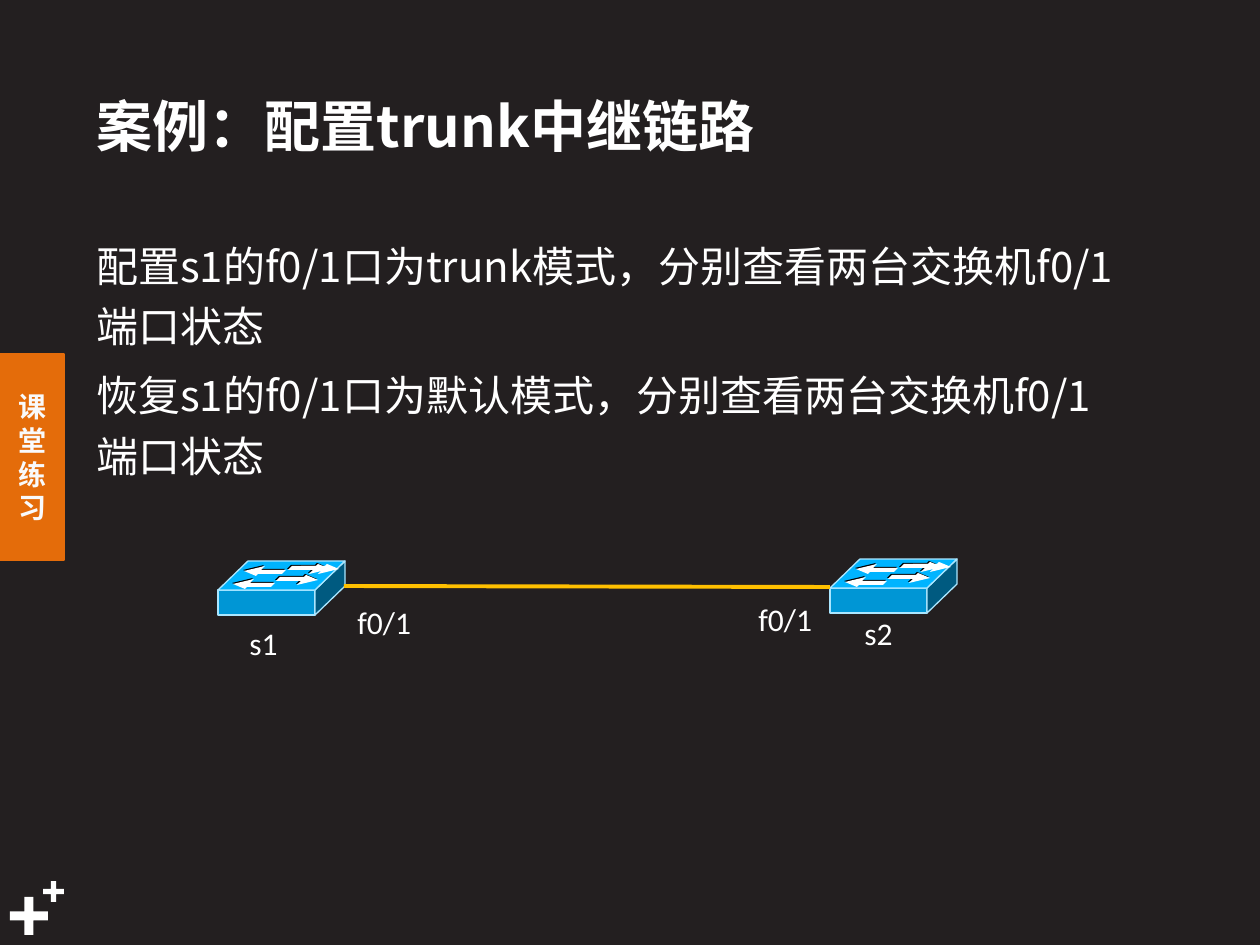
import pptx
import pptx.dml.color
import pptx.enum.shapes
import pptx.enum.text
import pptx.oxml
import pptx.oxml.ns
import pptx.util

EMU_PER_PX = 914400 / 126
CJK_FONT = "Noto Sans CJK SC"
LATIN_FONT = "Calibri"
WHITE = "FFFFFF"
ORANGE = "E46C0A"
EDGE = "AAE6FF"
ARROW_WIDTH, ARROW_HEIGHT = 42, 10
RIGHT_ARROW = [(4, 2), (0, 6), (25, 6), (21, 10), (42, 5), (30, 0), (28, 2)]
LEFT_ARROW = [(ARROW_WIDTH - x, ARROW_HEIGHT - y) for x, y in RIGHT_ARROW]
SHADED_ARROWS = [(RIGHT_ARROW, 58, 14), (RIGHT_ARROW, 70, 3),
                 (LEFT_ARROW, 15, 18), (LEFT_ARROW, 26, 5)]
EXTRA_ARROW = (RIGHT_ARROW, 79, 3)

Shape = pptx.enum.shapes.MSO_SHAPE
Anchor = pptx.enum.text.MSO_ANCHOR
AutoSize = pptx.enum.text.MSO_AUTO_SIZE


def px(value):
    return pptx.util.Emu(round(value * EMU_PER_PX))


def color(hex_string):
    return pptx.dml.color.RGBColor.from_string(hex_string)


def paint(shape, fill, line=None, line_width=0):
    shape.shadow.inherit = False
    shape.fill.solid()
    shape.fill.fore_color.rgb = color(fill)
    if line:
        shape.line.color.rgb = color(line)
        shape.line.width = pptx.util.Pt(line_width)
    else:
        shape.line.fill.background()


def add_preset(slide, preset, box, fill, line=None, line_width=0):
    shape = slide.shapes.add_shape(preset, *map(px, box))
    paint(shape, fill, line, line_width)
    return shape


def add_polygon(slide, left, top, points, fill, line=None):
    builder = slide.shapes.build_freeform(*points[0], scale=EMU_PER_PX)
    builder.add_line_segments(points[1:], close=True)
    paint(builder.convert_to_shape(px(left), px(top)), fill, line)


def add_run(paragraph, text, size, font, bold=False, fill=WHITE):
    run = paragraph.add_run()
    run.text = text
    run.font.size = pptx.util.Pt(size)
    run.font.bold = bold
    run.font.name = font
    run.font.color.rgb = color(fill)
    latin = run.font._element.find(pptx.oxml.ns.qn("a:latin"))
    east_asian = pptx.oxml.parse_xml(
        f'<a:ea {pptx.oxml.ns.nsdecls("a")} typeface="{font}"/>')
    latin.addnext(east_asian)


def add_paragraphs(frame, texts, size, font, bold=False, fill=WHITE):
    for index, text in enumerate(texts):
        paragraph = frame.paragraphs[0] if index == 0 else frame.add_paragraph()
        add_run(paragraph, text, size, font, bold, fill)


def add_text(slide, box, texts, size, font, bold=False, wrap=True):
    frame = slide.shapes.add_textbox(*map(px, box)).text_frame
    frame.word_wrap = wrap
    add_paragraphs(frame, texts, size, font, bold)
    return frame


def add_side_tab(slide, box):
    frame = add_preset(slide, Shape.RECTANGLE, box, ORANGE, ORANGE, 0.75).text_frame
    frame.word_wrap = True
    frame.vertical_anchor = Anchor.MIDDLE
    add_paragraphs(frame, ["课", "堂", "练习"], 16, CJK_FONT, True, "F9FAFB")
    for paragraph in frame.paragraphs:
        paragraph.alignment = pptx.enum.text.PP_ALIGN.CENTER


def add_plus_signs(slide, left, top):
    for dx, dy, side in [(0, 16, 38), (33, 0, 21)]:
        plus = add_preset(slide, Shape.CROSS, (left + dx, top + dy, side, side), WHITE)
        plus.adjustments[0] = 0.38


def add_title(slide, box):
    frame = add_text(slide, box, ["案例：配置trunk中继链路"], 32, CJK_FONT, True)
    frame.vertical_anchor = Anchor.MIDDLE


def add_body(slide, box):
    frame = add_text(slide, box, [
        "配置s1的f0/1口为trunk模式，分别查看两台交换机f0/1端口状态",
        "恢复s1的f0/1口为默认模式，分别查看两台交换机f0/1端口状态",
    ], 24, CJK_FONT)
    for paragraph in frame.paragraphs:
        paragraph.line_spacing = 1.2
        paragraph.space_before = pptx.util.Pt(4.8)


def add_label(slide, box, text):
    frame = add_text(slide, box, [text], 18, LATIN_FONT, wrap=False)
    frame.auto_size = AutoSize.SHAPE_TO_FIT_TEXT


def add_switch(slide, left, top):
    width, height, front_width, depth = 127, 54, 97, 29
    front = (left, top + depth, front_width, height - depth)
    side = [(front_width, depth), (width, 0), (width, height - depth),
            (front_width, height)]
    lid = [(front_width, depth), (width, 0), (width - front_width, 0), (0, depth)]
    add_preset(slide, Shape.RECTANGLE, front, "0096D5", EDGE)
    add_polygon(slide, left, top, side, "005A80", EDGE)
    add_polygon(slide, left, top, lid, "00B4FF", EDGE)
    for points, dx, dy in SHADED_ARROWS:
        add_polygon(slide, left + dx - 1, top + dy - 1, points, "000000")
    for points, dx, dy in SHADED_ARROWS + [EXTRA_ARROW]:
        add_polygon(slide, left + dx, top + dy, points, WHITE)


def add_link(slide, start, end):
    link = slide.shapes.add_connector(
        pptx.enum.shapes.MSO_CONNECTOR.STRAIGHT, *map(px, start + end))
    link.line.color.rgb = color("FFC000")
    link.line.width = pptx.util.Pt(2.25)
    effects = pptx.oxml.parse_xml(f'<a:effectLst {pptx.oxml.ns.nsdecls("a")}/>')
    link._element.spPr.append(effects)


def add_network(slide, left, top):
    add_switch(slide, left, top + 2)
    add_switch(slide, left + 612, top)
    add_link(slide, (left + 126, top + 27), (left + 612, top + 28))
    add_label(slide, (left + 127, top + 38, 79, 50), "f0/1")
    add_label(slide, (left + 528, top + 35, 79, 50), "f0/1")
    add_label(slide, (left + 19, top + 59, 54, 50), "s1")
    add_label(slide, (left + 634, top + 49, 54, 50), "s2")


def main():
    presentation = pptx.Presentation()
    presentation.slide_width = px(1260)
    presentation.slide_height = px(945)
    slide = presentation.slides.add_slide(presentation.slide_layouts[6])
    slide.background.fill.solid()
    slide.background.fill.fore_color.rgb = color("231F20")
    add_side_tab(slide, (0, 354, 64, 206))
    add_plus_signs(slide, 10, 881)
    add_title(slide, (84, 76, 932, 98))
    add_body(slide, (84, 224, 1048, 339))
    add_network(slide, 218, 559)
    presentation.save("out.pptx")


if __name__ == "__main__":
    main()
